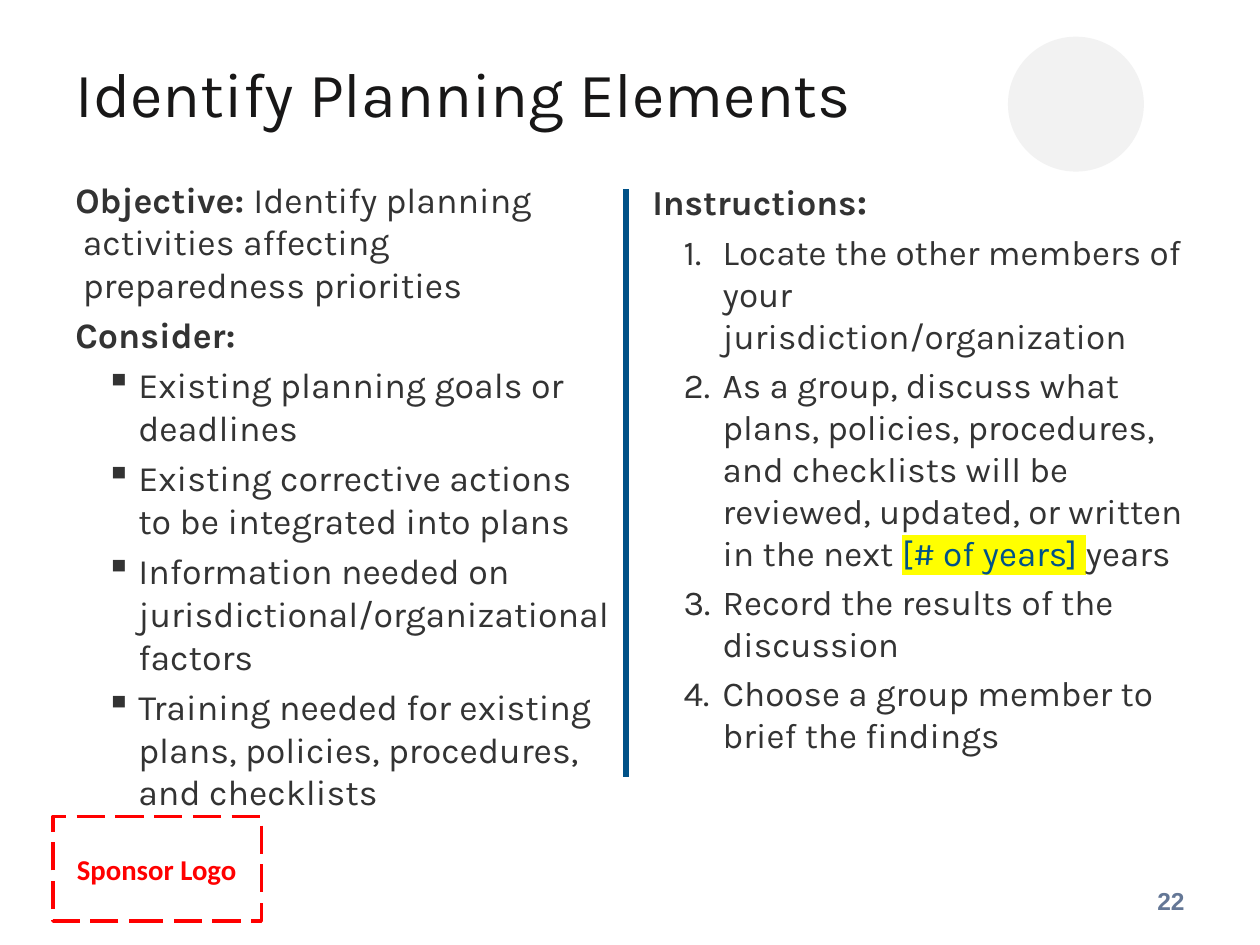
from dataclasses import dataclass
from typing import Any

from lxml import etree
from pptx import Presentation
from pptx import util as u
from pptx.dml.color import RGBColor
from pptx.enum import dml, shapes, text
from pptx.oxml.ns import qn


def color(value):
    return RGBColor.from_string(value)


@dataclass
class SlideBuilder:
    slide: Any
    font: str = "Karla"
    ink: str = "333333"
    accent: str = "005288"
    red: str = "FF0000"

    def style(self, font, size=None, fill=None, bold=None, name=None):
        if name:
            font.name = name
        if size:
            font.size = u.Pt(size)
        if fill:
            font.color.rgb = color(fill)
        if bold is not None:
            font.bold = bold

    def title(self, wording, left, top, width, height):
        shape = self.slide.shapes.title
        shape.left, shape.top = u.Cm(left), u.Cm(top)
        shape.width, shape.height = u.Cm(width), u.Cm(height)
        frame = shape.text_frame
        frame.text = wording
        frame.auto_size = text.MSO_AUTO_SIZE.NONE
        frame.vertical_anchor = text.MSO_ANCHOR.MIDDLE
        paragraph = frame.paragraphs[0]
        paragraph.alignment = text.PP_ALIGN.LEFT
        self.style(paragraph.font, 36, "181717", False, self.font)

    def text_box(self, left, top, width, height):
        shape = self.slide.shapes.add_textbox(
            u.Cm(left), u.Cm(top), u.Cm(width), u.Cm(height))
        frame = shape.text_frame
        frame.word_wrap = True
        return frame

    def label(self, wording, box, size, fill, name, align, inset=0.25):
        frame = self.text_box(*box)
        frame.vertical_anchor = text.MSO_ANCHOR.MIDDLE
        frame.margin_left = frame.margin_right = u.Cm(inset)
        frame.margin_top = frame.margin_bottom = u.Cm(inset / 2)
        paragraph = frame.paragraphs[0]
        paragraph.text = wording
        paragraph.alignment = align
        self.style(paragraph.font, size, fill, True, name)

    def column(self, box, size, bullet, margin, hanging, paragraphs):
        frame = self.text_box(*box)
        for index, (kind, runs) in enumerate(paragraphs):
            paragraph = frame.paragraphs[0] if index == 0 else frame.add_paragraph()
            if index:
                paragraph.space_before = u.Pt(size * 0.2)
            properties = paragraph._p.get_or_add_pPr()
            if kind == "item":
                paragraph.level = 1
                self.indent(properties, margin, hanging)
                tag, attributes = bullet
                etree.SubElement(properties, qn(tag), attributes)
            elif kind == "hanging":
                self.indent(properties, 0.15, 0.15)
            self.style(paragraph.font, size, self.ink, kind == "heading", self.font)
            for wording, options in runs:
                self.run(paragraph, wording, **options)

    def indent(self, properties, margin, hanging):
        properties.set("marL", str(u.Cm(margin)))
        properties.set("indent", str(-u.Cm(hanging)))

    def run(self, paragraph, wording, highlight=None, **options):
        run = paragraph.add_run()
        run.text = wording
        self.style(run.font, **options)
        if highlight:
            fill = run._r.rPr.find(qn("a:solidFill"))
            mark = etree.Element(qn("a:highlight"))
            etree.SubElement(mark, qn("a:srgbClr"), {"val": highlight})
            fill.addnext(mark)

    def shape(self, preset, left, top, width, height, fill=None, line=None):
        shape = self.slide.shapes.add_shape(
            preset, u.Cm(left), u.Cm(top), u.Cm(width), u.Cm(height))
        shape.shadow.inherit = False
        if fill:
            shape.fill.solid()
            shape.fill.fore_color.rgb = color(fill)
        else:
            shape.fill.background()
        if line:
            shape.line.color.rgb = color(line)
            shape.line.width = u.Pt(2)
            shape.line.dash_style = dml.MSO_LINE.LONG_DASH
        else:
            shape.line.fill.background()

    def divider(self, x, top, bottom):
        connector = self.slide.shapes.add_connector(
            shapes.MSO_CONNECTOR.STRAIGHT, u.Cm(x), u.Cm(top), u.Cm(x), u.Cm(bottom))
        connector.line.color.rgb = color(self.accent)
        connector.line.width = u.Pt(3.75)
        etree.SubElement(connector._element.spPr, qn("a:effectLst"))


def plain(kind, wording):
    return kind, [(wording, {})]


def main():
    presentation = Presentation()
    presentation.slide_width, presentation.slide_height = u.Cm(25.4), u.Cm(19.05)
    slide = presentation.slides.add_slide(presentation.slide_layouts[5])
    builder = SlideBuilder(slide)

    builder.shape(shapes.MSO_SHAPE.RECTANGLE, 1.07, 16.46, 4.2, 2.11, line=builder.red)
    builder.label("Sponsor Logo", (1.55, 17.17, 3.63, 0.71), 16.4, builder.red,
                  "Calibri", text.PP_ALIGN.LEFT, inset=0)
    builder.title("Identify Planning Elements", 1.27, 0.28, 23.22, 3.18)

    considerations = [
        "Existing planning goals or deadlines",
        "Existing corrective actions to be integrated into plans",
        "Information needed on jurisdictional/organizational factors",
        "Training needed for existing plans, policies, procedures, and checklists",
    ]
    builder.column(
        (1.27, 3.45, 11.28, 12.83), 20.4, ("a:buChar", {"char": "▪"}), 1.27, 0.66,
        [("hanging", [
            ("Objective: ", {"bold": True}),
            ("Identify planning activities affecting preparedness priorities", {})]),
         plain("heading", "Consider:"),
         *[plain("item", wording) for wording in considerations]])

    builder.column(
        (12.9, 3.45, 11.23, 11.86), 20, ("a:buAutoNum", {"type": "arabicPeriod"}),
        1.42, 0.79,
        [("heading", [("Instructions", {}), (":", {"size": 22})]),
         plain("item", "Locate the other members of your jurisdiction/organization"),
         ("item", [
             ("As a group, discuss what plans, policies, procedures, and checklists "
              "will be reviewed, updated, or written in the next ", {}),
             ("[# of years] ", {"fill": builder.accent, "highlight": "FFFF00"}),
             ("years", {})]),
         plain("item", "Record the results of the discussion"),
         plain("item", "Choose a group member to brief the findings")])

    builder.divider(12.62, 3.81, 15.67)
    builder.shape(shapes.MSO_SHAPE.OVAL, 20.32, 0.74, 2.74, 2.72, fill="F2F2F2")
    builder.label("22", (18.21, 17.65, 5.92, 1.02), 14, "647796", "Arial",
                  text.PP_ALIGN.RIGHT)
    presentation.save("out.pptx")


if __name__ == "__main__":
    main()
